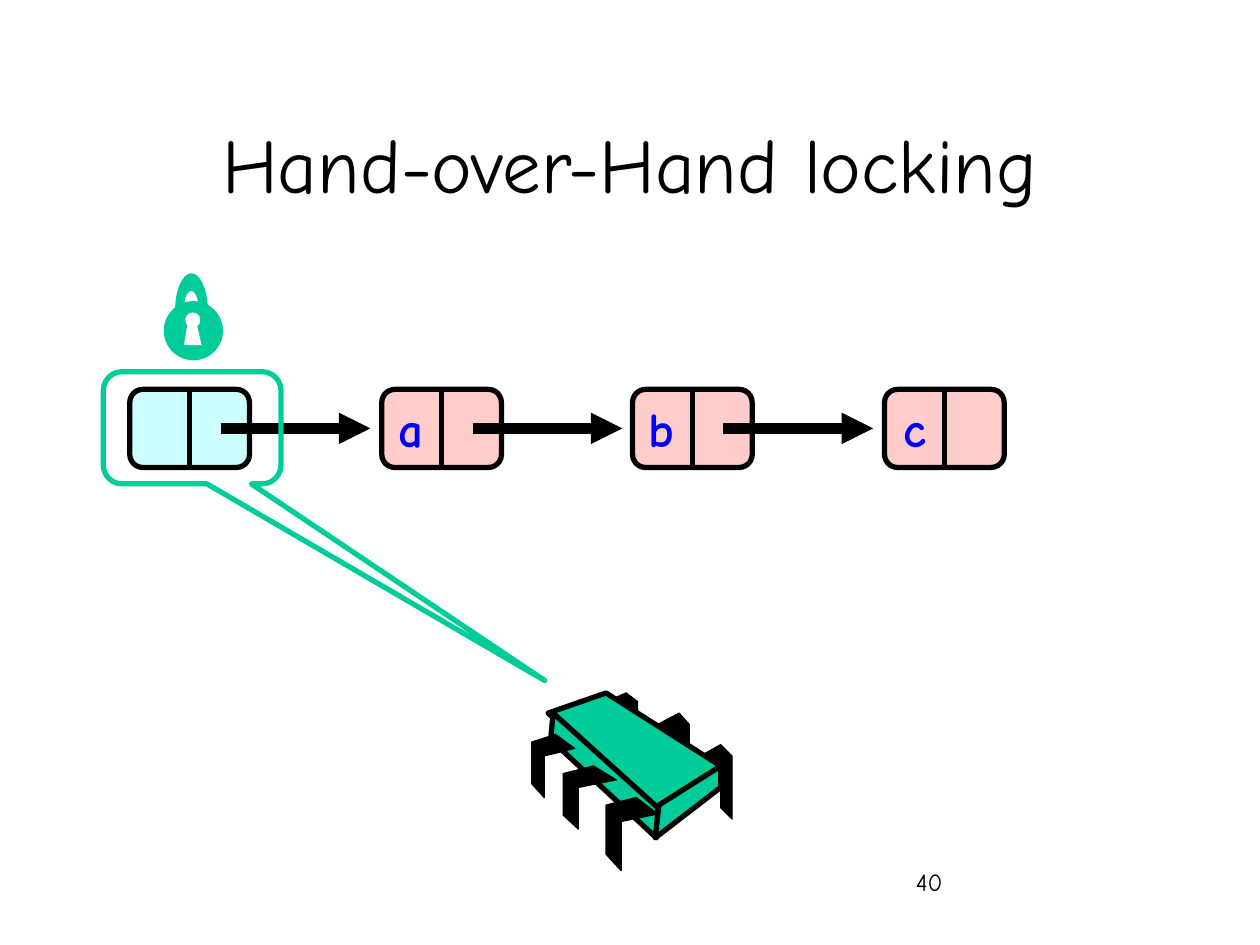
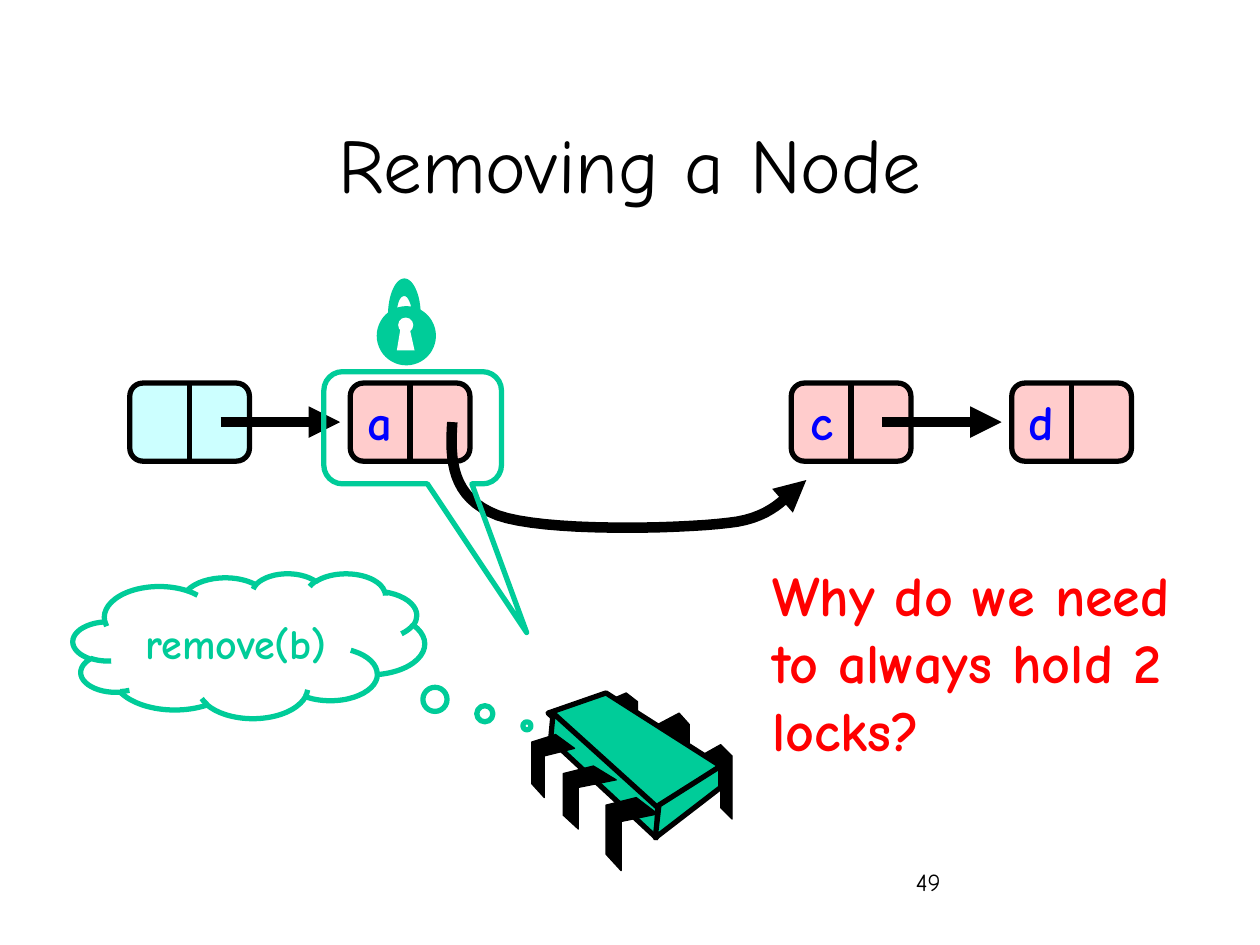
from lxml import etree
from pptx import Presentation
from pptx.dml.color import RGBColor
from pptx.enum.shapes import MSO_CONNECTOR, MSO_SHAPE
from pptx.enum.text import MSO_ANCHOR, PP_ALIGN
from pptx.oxml.ns import qn
from pptx.util import Inches, Pt

ROUND_RECT, OVAL = MSO_SHAPE.ROUNDED_RECTANGLE, MSO_SHAPE.OVAL
CALLOUT, CLOUD = MSO_SHAPE.ROUNDED_RECTANGULAR_CALLOUT, MSO_SHAPE.CLOUD_CALLOUT
STRAIGHT = MSO_CONNECTOR.STRAIGHT
LEFT, CENTER, RIGHT = PP_ALIGN.LEFT, PP_ALIGN.CENTER, PP_ALIGN.RIGHT
MIDDLE = MSO_ANCHOR.MIDDLE
TITLE_ONLY = 5

FONT = "Comic Neue"
BLACK = RGBColor(0x00, 0x00, 0x00)
WHITE = RGBColor(0xFF, 0xFF, 0xFF)
GREEN = RGBColor(0x00, 0xCC, 0x99)
CYAN = RGBColor(0xCC, 0xFF, 0xFF)
PINK = RGBColor(0xFF, 0xCC, 0xCC)
BLUE = RGBColor(0x00, 0x00, 0xFF)
RED = RGBColor(0xFF, 0x00, 0x00)

# Content: nodes are (label, left); links are (source node, arrow length)
SLIDES = [
    {
        "title": "Hand-over-Hand locking",
        "page": "40",
        "nodes": [("", 1.03), ("a", 3.03), ("b", 5.02), ("c", 7.02)],
        "nodes_top": 3.09,
        "links": [(0, 1.19), (1, 1.19), (2, 1.19)],
        "lock": (1.3, 2.39),
        "callout": (0.82, (1.985, 2.254, 0.167)),
    },
    {
        "title": "Removing a Node",
        "page": "49",
        "nodes": [("", 1.03), ("a", 2.78), ("c", 6.28), ("d", 8.03)],
        "nodes_top": 3.04,
        "links": [(0, 0.95), (2, 0.95)],
        "bypass": [(3.59, 3.35), (3.57, 3.65), (3.58, 3.95), (3.95, 4.09),
                   (4.31, 4.22), (5.37, 4.2), (5.78, 4.15),
                   (6.18, 4.11), (6.27, 3.88), (6.4, 3.81)],
        "lock": (2.99, 2.43),
        "callout": (2.57, (0.642, 1.826, 0.167)),
        "thought": "remove(b)",
        "question": ["Why do we need", "to always hold 2", "locks?"],
    },
]

NODE_W, NODE_H = 0.95, 0.62

# Processor chip: (fill, line width, outline), back to front
CHIP = [
    # Back legs
    (BLACK, 0.75, [(5.56, 6), (5.72, 5.91), (5.81, 6), (5.81, 6.5),
                   (5.72, 6.41), (5.72, 6.08), (5.56, 6.16)]),
    (BLACK, 0.75, [(5.22, 5.75), (5.39, 5.66), (5.47, 5.75), (5.47, 6.25),
                   (5.39, 6.16), (5.39, 5.83), (5.22, 5.91)]),
    (BLACK, 0.75, [(4.81, 5.57), (4.97, 5.5), (5.06, 5.57), (5.06, 6),
                   (4.97, 5.93), (4.97, 5.64), (4.81, 5.71)]),
    # Top and two sides
    (GREEN, 3, [(4.81, 5.5), (5.72, 6.08), (5.21, 6.43), (4.35, 5.66)]),
    (GREEN, 3, [(4.39, 5.66), (5.22, 6.41), (5.21, 6.65), (4.37, 5.87)]),
    (GREEN, 3, [(5.72, 6.08), (5.72, 6.25), (5.2, 6.65), (5.23, 6.39)]),
    # Front legs
    (BLACK, 0.75, [(5.05, 6.33), (5.22, 6.46), (4.93, 6.52), (4.93, 6.91),
                   (4.81, 6.78), (4.81, 6.39)]),
    (BLACK, 0.75, [(4.71, 6.08), (4.89, 6.19), (4.59, 6.25), (4.59, 6.58),
                   (4.47, 6.47), (4.47, 6.14)]),
    (BLACK, 0.75, [(4.41, 5.83), (4.56, 5.94), (4.32, 6), (4.32, 6.33),
                   (4.22, 6.22), (4.22, 5.89)]),
]

# Padlock outlines, measured from the top left of its round body
KEY_SLOT = [(0.16, 0.35), (0.19, 0.17), (0.26, 0.17), (0.3, 0.35)]
SHACKLE_INNER = [(0.16, 0.07), (0.16, -0.01), (0.18, -0.08), (0.22, -0.08),
                 (0.25, -0.08), (0.28, -0.01), (0.28, 0.07)]
SHACKLE_OUTER = [(0.35, 0.07), (0.35, -0.09), (0.29, -0.22), (0.22, -0.22),
                 (0.15, -0.22), (0.09, -0.09), (0.09, 0.07)]


def bezier(controls, steps=16):
    """Points along a chain of cubic curves."""
    points = [controls[0]]
    for i in range(0, len(controls) - 1, 3):
        curve = controls[i:i + 4]
        for step in range(1, steps + 1):
            t = step / steps
            weights = ((1 - t) ** 3, 3 * t * (1 - t) ** 2, 3 * t * t * (1 - t), t ** 3)
            points.append(tuple(sum(w * p[axis] for w, p in zip(weights, curve))
                                for axis in (0, 1)))
    return points


def paint(shape, fill=None, line=None, width=3):
    shape.shadow.inherit = False
    if fill is None:
        shape.fill.background()
    else:
        shape.fill.solid()
        shape.fill.fore_color.rgb = fill
    if line is None:
        shape.line.fill.background()
    else:
        shape.line.color.rgb = line
        shape.line.width = Pt(width)
    return shape


def add_preset(shapes, kind, box, fill=None, line=None, adjustments=()):
    shape = shapes.add_shape(kind, *map(Inches, box))
    for i, value in enumerate(adjustments):
        shape.adjustments[i] = value
    return paint(shape, fill, line)


def add_outline(shapes, points, fill=None, line=None, width=3, close=True):
    corners = [(Inches(x), Inches(y)) for x, y in points]
    builder = shapes.build_freeform(*corners[0])
    builder.add_line_segments(corners[1:], close=close)
    return paint(builder.convert_to_shape(), fill, line, width)


def add_line(shapes, start, end, width):
    line = shapes.add_connector(STRAIGHT, *map(Inches, start + end))
    line.line.color.rgb = BLACK
    line.line.width = Pt(width)
    etree.SubElement(line._element.spPr, qn("a:effectLst"))
    return line


def add_arrowhead(shape):
    etree.SubElement(shape.line._get_or_add_ln(), qn("a:tailEnd"), type="triangle")


def write(shape, lines, size, color, align=LEFT, bold=False):
    frame = shape.text_frame
    frame.text = "\n".join(lines)
    for paragraph in frame.paragraphs:
        paragraph.alignment = align
        font = paragraph.font
        font.name, font.size, font.bold = FONT, Pt(size), bold
        font.color.rgb = color
    return frame


def add_text(shapes, box, lines, size, color, align=LEFT, bold=False, wrap=False):
    text_box = shapes.add_textbox(*map(Inches, box))
    write(text_box, lines, size, color, align, bold).word_wrap = wrap


def add_node(slide, label, left, top):
    shapes = slide.shapes.add_group_shape().shapes
    cell = add_preset(shapes, ROUND_RECT, (left, top, NODE_W, NODE_H),
                      PINK if label else CYAN, BLACK, [0.167])
    middle = left + NODE_W / 2
    divider = add_line(shapes, (middle, top), (middle, top + NODE_H), 3)
    divider.begin_connect(cell, 0)
    divider.end_connect(cell, 2)
    if label:
        add_text(shapes, (left + 0.01, top + 0.02, 0.42, 0.57), [label],
                 28, BLUE, RIGHT, bold=True)


def add_chip(slide):
    shapes = slide.shapes.add_group_shape().shapes
    for fill, width, outline in CHIP:
        add_outline(shapes, outline, fill, BLACK, width)


def add_lock(slide, left, top):
    shapes = slide.shapes.add_group_shape().shapes

    def place(points):
        return [(left + x, top + y) for x, y in points]

    add_preset(shapes, OVAL, (left, top, 0.47, 0.47), GREEN)
    add_preset(shapes, OVAL, (left + 0.17, top + 0.09, 0.12, 0.12), WHITE)
    add_outline(shapes, place(KEY_SLOT), WHITE)
    add_outline(shapes, place(bezier(SHACKLE_INNER) + bezier(SHACKLE_OUTER)), GREEN)


def build_slide(deck, content):
    slide = deck.slides.add_slide(deck.slide_layouts[TITLE_ONLY])
    shapes = slide.shapes

    # Title and page number
    title = shapes.title
    title.left, title.top, title.width, title.height = map(Inches, (0.75, 0.67, 8.5, 1.25))
    write(title, [content["title"]], 44, BLACK, CENTER).vertical_anchor = MIDDLE
    add_text(shapes, (7.17, 6.83, 2.08, 0.5), [content["page"]], 14, BLACK, wrap=True)

    # Linked list
    top = content["nodes_top"]
    for label, left in content["nodes"]:
        add_node(slide, label, left, top)
    for source, length in content["links"]:
        start = content["nodes"][source][1] + 0.72
        link_y = top + NODE_H / 2
        add_arrowhead(add_line(shapes, (start, link_y), (start + length, link_y), 6))
    if "bypass" in content:
        add_arrowhead(add_outline(shapes, bezier(content["bypass"]),
                                  line=BLACK, width=6, close=False))

    # Processor and the lock it holds
    add_chip(slide)
    callout_left, pointer = content["callout"]
    add_preset(shapes, CALLOUT, (callout_left, 2.95, 1.41, 0.89), line=GREEN,
               adjustments=pointer)
    add_lock(slide, *content["lock"])

    # Thought and question
    if "thought" in content:
        cloud = add_preset(shapes, CLOUD, (0.58, 4.55, 2.79, 1.15), line=GREEN,
                           adjustments=(0.791, 0.553))
        write(cloud, [content["thought"]], 24, GREEN, CENTER, True).vertical_anchor = MIDDLE
    if "question" in content:
        add_text(shapes, (6.03, 4.4, 4.01, 1.72), content["question"], 32, RED, bold=True)


def main():
    deck = Presentation()
    deck.slide_width, deck.slide_height = Inches(10), Inches(7.5)
    for content in SLIDES:
        build_slide(deck, content)
    deck.save("out.pptx")


if __name__ == "__main__":
    main()
